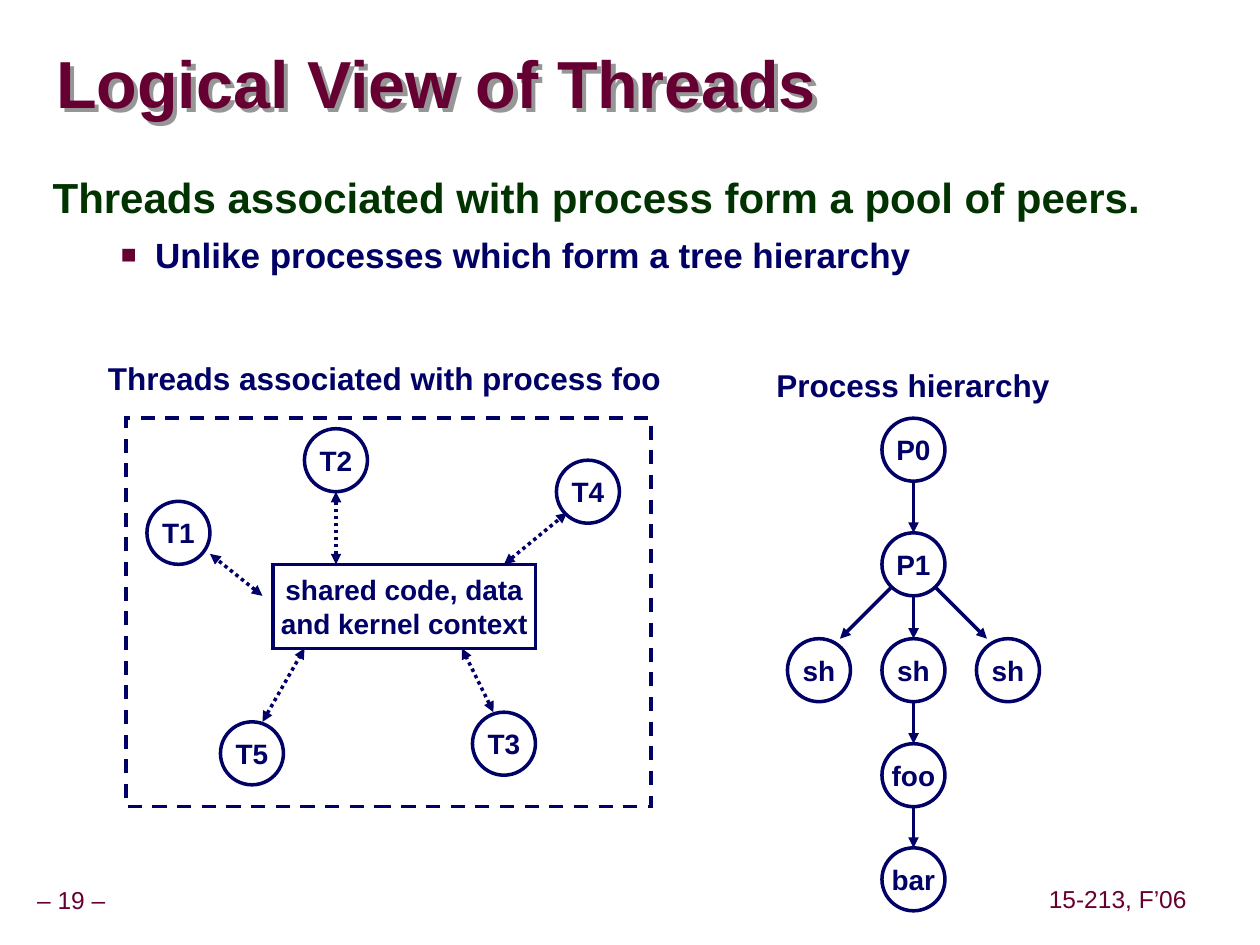
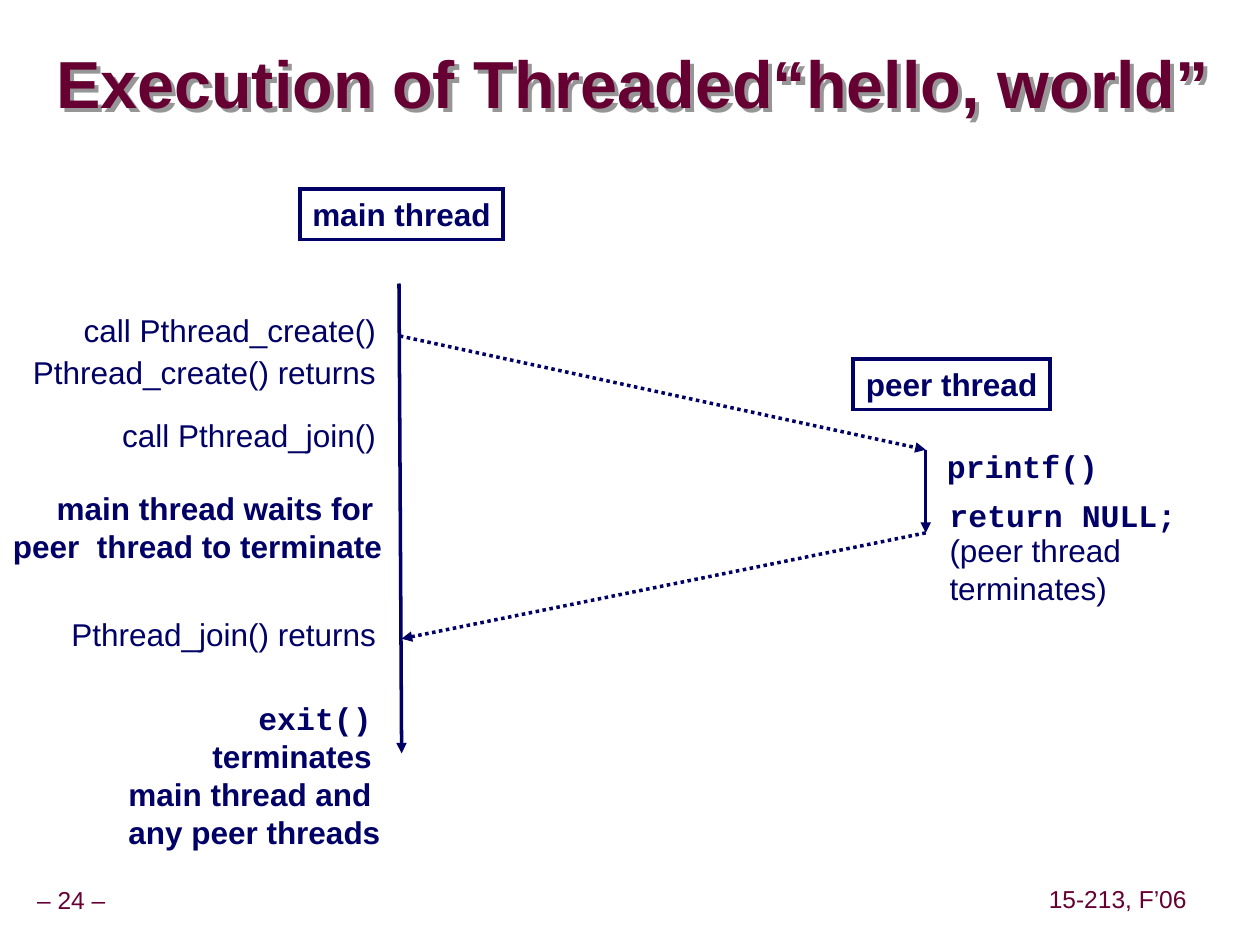
"""Build two lecture slides on threads: the logical view and a run of a threaded program."""
import lxml.etree
import pptx
import pptx.dml.color
import pptx.enum.dml
import pptx.enum.shapes
import pptx.enum.text
import pptx.oxml.ns
import pptx.util

Pt = pptx.util.Pt
qn = pptx.oxml.ns.qn
ALIGN = pptx.enum.text.PP_ALIGN
ANCHOR = pptx.enum.text.MSO_ANCHOR
GROW = pptx.enum.text.MSO_AUTO_SIZE.SHAPE_TO_FIT_TEXT
SHAPE = pptx.enum.shapes.MSO_SHAPE
DASH = pptx.enum.dml.MSO_LINE.DASH
DOT = pptx.enum.dml.MSO_LINE.ROUND_DOT

COLORS = {"title": "660033", "head": "003300", "ink": "000066", "paper": "FFFFFF", "shadow": "969696"}
SANS, MONO = "Arial", "Courier New"
COURSE = "15-213, F’06"


def rgb(name):
    return pptx.dml.color.RGBColor.from_string(COLORS[name])


def add_xml(parent, tag, **attrs):
    return lxml.etree.SubElement(parent, qn(tag), attrs)


def write(p, text, size=18, color="ink", bold=False, font=SANS, align=ALIGN.LEFT,
          spacing=None, before=None, indent=None, bullet=None, tail=""):
    p.alignment = align
    if spacing:
        p.line_spacing = spacing
    if before:
        p.space_before = Pt(before)
    pPr = p._p.get_or_add_pPr()
    if indent:
        left, first = indent
        pPr.set("marL", str(Pt(left)))
        pPr.set("indent", str(Pt(first)))
    if bullet:
        add_xml(add_xml(pPr, "a:buClr"), "a:srgbClr", val=COLORS["title"])
        add_xml(pPr, "a:buSzPct", val="75000")
        add_xml(pPr, "a:buFont", typeface=SANS)
        add_xml(pPr, "a:buChar", char=bullet)
    for part, face in ((text, font), (tail, SANS)):
        if part:
            r = p.add_run()
            r.text = part
            r.font.color.rgb = rgb(color)
            r.font.name, r.font.size, r.font.bold = face, Pt(size), bold


class Deck:
    """Holds the presentation, its style and the slide being drawn."""

    def __init__(self):
        self.prs = pptx.Presentation()
        self.prs.slide_width, self.prs.slide_height = Pt(720), Pt(540)

    def slide(self, title, number):
        self.s = self.prs.slides.add_slide(self.prs.slide_layouts[6])
        footer = dict(size=14, color="title", align=ALIGN.CENTER, spacing=0.9, margins=(3.6, 3.6))
        self.text(f"– {number} –", 0, 504, 81.5, 22.5, **footer)
        self.text(COURSE, 595.5, 503.5, 86.5, 22.5, **footer)
        sp = self.text(title, 32, 19.5, 686, 61, size=38, color="title", bold=True,
                       spacing=0.87, margins=(0, 0), wrap=True)
        effects = add_xml(sp._element.spPr, "a:effectLst")
        shadow = add_xml(effects, "a:outerShdw", dist=str(Pt(3.5)), dir="2700000", algn="ctr", rotWithShape="0")
        add_xml(shadow, "a:srgbClr", val=COLORS["shadow"])

    def fill_text(self, sp, lines, margins=(7.2, 3.6), anchor=ANCHOR.MIDDLE, wrap=False, **fmt):
        tf = sp.text_frame
        tf.word_wrap, tf.vertical_anchor = wrap, anchor
        tf.margin_left = tf.margin_right = Pt(margins[0])
        tf.margin_top = tf.margin_bottom = Pt(margins[1])
        for i, line in enumerate([lines] if isinstance(lines, str) else lines):
            text, own = (line, {}) if isinstance(line, str) else line
            p = tf.add_paragraph() if i else tf.paragraphs[0]
            write(p, text, **{**fmt, **own})

    def text(self, lines, x, y, w, h, wrap=False, **fmt):
        sp = self.s.shapes.add_textbox(Pt(x), Pt(y), Pt(w), Pt(h))
        self.fill_text(sp, lines, wrap=wrap, **fmt)
        if not wrap:
            sp.text_frame.auto_size = GROW
        return sp

    def outline(self, line, dash=None):
        line.color.rgb, line.width = rgb("ink"), Pt(2)
        if dash:
            line.dash_style = dash

    def shape(self, kind, x, y, w, h, lines=None, fill="paper", dash=None, size=16):
        sp = self.s.shapes.add_shape(kind, Pt(x), Pt(y), Pt(w), Pt(h))
        sp.shadow.inherit = False
        if fill:
            sp.fill.solid()
            sp.fill.fore_color.rgb = rgb(fill)
        else:
            sp.fill.background()
        self.outline(sp.line, dash)
        add_xml(sp._element.spPr.find(qn("a:ln")), "a:miter", lim="800000")
        if lines:
            self.fill_text(sp, lines, size=size, bold=True, align=ALIGN.CENTER)

    def node(self, label, x, y):
        self.shape(SHAPE.OVAL, x, y, 36, 36, label)

    def arrow(self, x1, y1, x2, y2, dash=None, both=False):
        straight = pptx.enum.shapes.MSO_CONNECTOR.STRAIGHT
        sp = self.s.shapes.add_connector(straight, Pt(x1), Pt(y1), Pt(x2), Pt(y2))
        self.outline(sp.line, dash)
        spPr = sp._element.spPr
        ln = spPr.find(qn("a:ln"))
        if both:
            add_xml(ln, "a:headEnd", type="triangle")
        add_xml(ln, "a:tailEnd", type="triangle")
        add_xml(spPr, "a:effectLst")


def logical_view(deck):
    deck.slide("Logical View of Threads", 19)
    deck.text([
        ("Threads associated with process form a pool of peers.",
         dict(size=24, color="head", spacing=0.95, indent=(30, -30))),
        ("Unlike processes which form a tree hierarchy",
         dict(size=20, before=6.2, indent=(58.5, -19.5), bullet="■")),
    ], 23, 96.5, 654.5, 411, bold=True, anchor=ANCHOR.TOP, wrap=True)

    heading = dict(bold=True, align=ALIGN.CENTER)
    deck.text("Process hierarchy", 436.5, 205.5, 170.5, 29, **heading)
    deck.text("Threads associated with process foo", 54.5, 201.5, 330.5, 29, **heading)

    trunk = [("P0", 239), ("P1", 304.5), ("sh", 365), ("foo", 425), ("bar", 484.5)]
    for label, y in trunk:
        deck.node(label, 504, y)
    for (_, upper), (_, lower) in zip(trunk, trunk[1:]):
        deck.arrow(522, upper + 36, 522, lower)
    for side in (-1, 1):
        deck.node("sh", 504 + 54 * side, 365)
        deck.arrow(522 + 12 * side, 335, 522 + 42 * side, 365)

    deck.shape(SHAPE.RECTANGLE, 72, 239, 300, 222, fill=None, dash=DASH)
    deck.shape(SHAPE.RECTANGLE, 156, 322.5, 150, 48, ["shared code, data", "and kernel context"])
    threads = [
        ("T1", 84, 286.5, (150, 340.5, 120, 316.5)),
        ("T2", 174, 245, (192, 322.5, 192, 281)),
        ("T3", 270, 407, (282, 407, 264, 370.5)),
        ("T4", 318, 263, (288, 322.5, 324, 293)),
        ("T5", 126, 412.5, (150, 412.5, 174, 370.5)),
    ]
    for label, x, y, link in threads:
        deck.node(label, x, y)
        deck.arrow(*link, dash=DOT, both=True)


def hello_world(deck):
    deck.slide("Execution of Threaded“hello, world”", 24)
    deck.shape(SHAPE.RECTANGLE, 171.5, 108, 116, 29, "main thread", fill=None, size=18)
    deck.shape(SHAPE.RECTANGLE, 487.5, 205, 112.5, 29, "peer thread", fill=None, size=18)

    deck.arrow(228, 162, 229.5, 430.5)
    deck.arrow(529, 257, 529, 304.5)
    deck.arrow(228.5, 192, 529, 257, dash=DOT)
    deck.arrow(529, 304.5, 229.5, 365, dash=DOT)

    calls = [
        ("call Pthread_create()", 174, 181.5),
        ("Pthread_create() returns", 198, 210.5),
        ("call Pthread_join()", 234, 159.5),
        ("Pthread_join() returns", 348, 198),
    ]
    for label, y, w in calls:
        deck.text(label, 222 - w, y, w, 29, align=ALIGN.RIGHT, anchor=ANCHOR.TOP)

    notes = dict(bold=True, align=ALIGN.RIGHT)
    deck.text(["main thread waits for ", "peer  thread to terminate"], 0, 276, 225.5, 50.5, **notes)
    deck.text([("exit()", dict(font=MONO, tail=" ")), "terminates ", "main thread and ", "any peer threads"],
              66, 396, 158.5, 93.5, **notes)

    code = dict(bold=True, font=MONO)
    deck.text("printf()", 534, 252, 101, 29, **code)
    deck.text("return NULL;", 535.5, 279.5, 144, 29, **code)
    deck.text(["(peer thread", "terminates)"], 535.5, 300, 112.5, 50.5, anchor=ANCHOR.TOP)


def main():
    deck = Deck()
    logical_view(deck)
    hello_world(deck)
    deck.prs.save("out.pptx")


if __name__ == "__main__":
    main()
